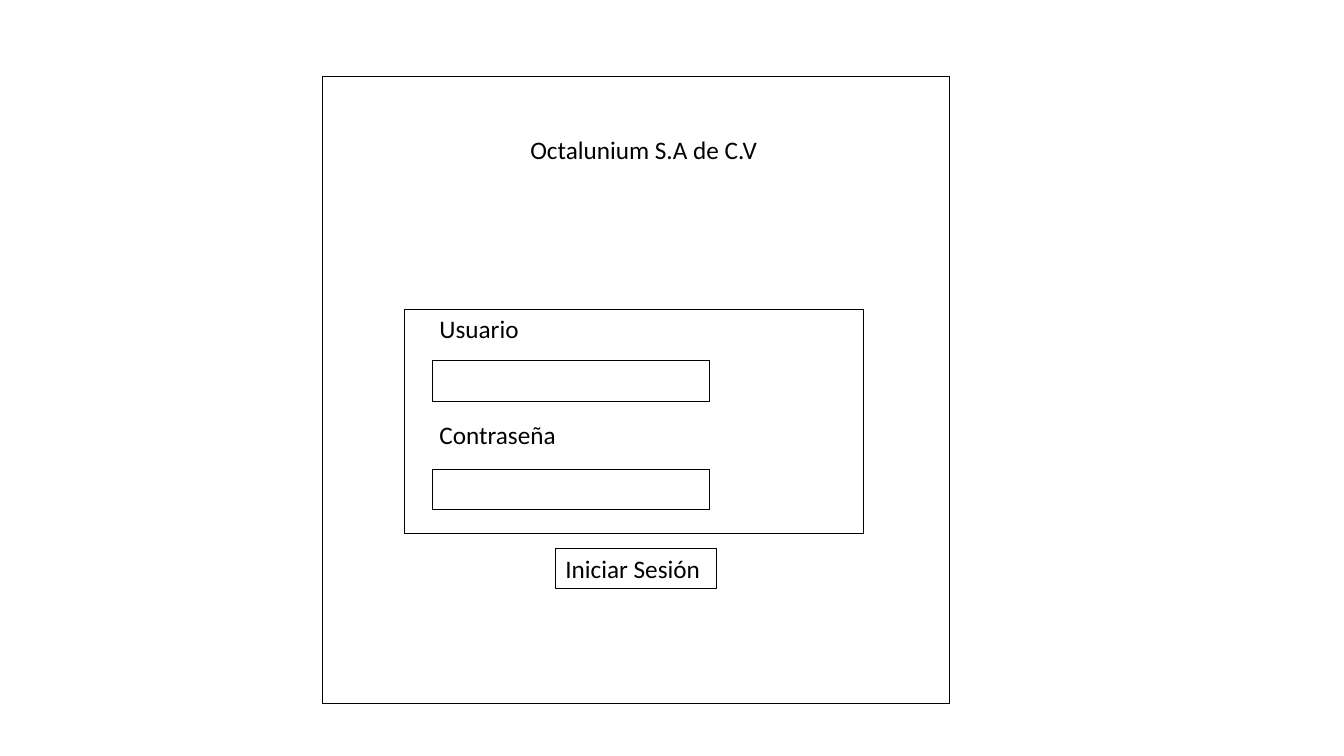
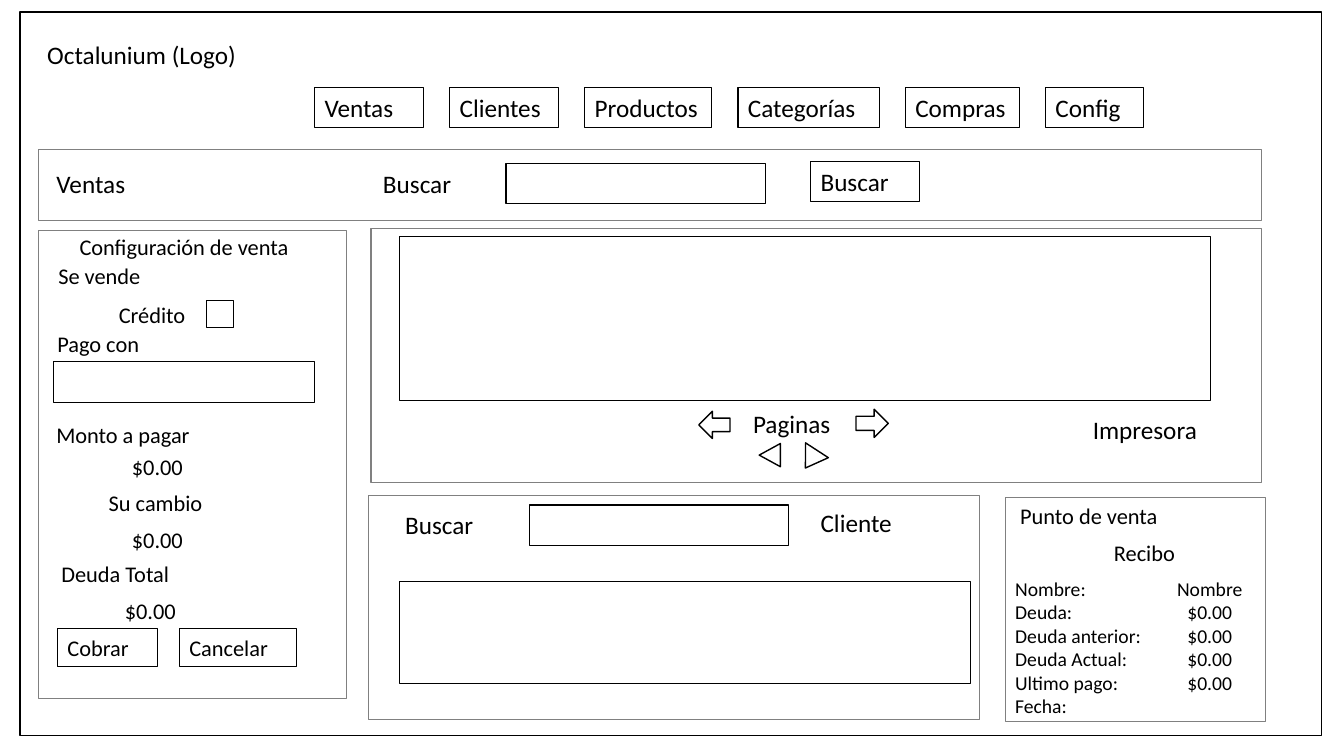
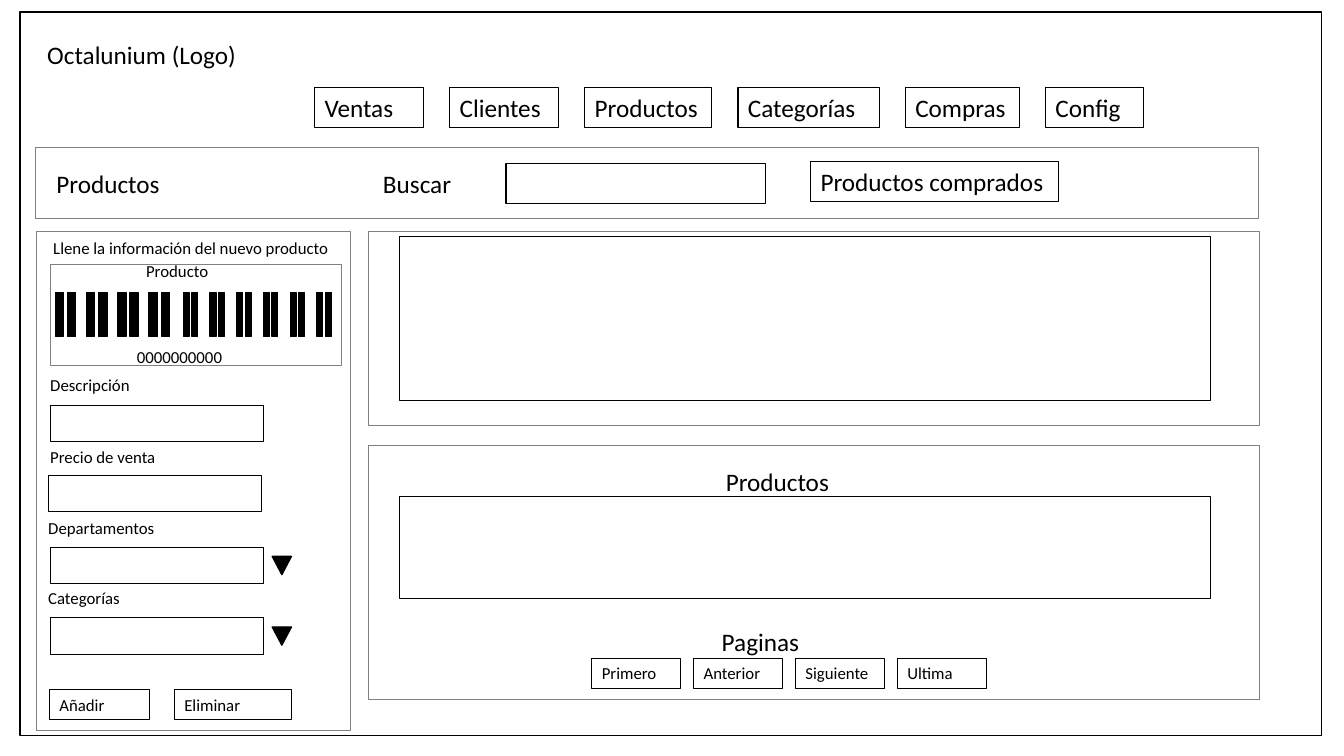
from dataclasses import dataclass
from typing import Any

from lxml import etree
from pptx import Presentation
from pptx import util as u
from pptx.dml.color import RGBColor
from pptx.enum import shapes, text
from pptx.oxml import ns

FONT = "Calibri"
BLACK, GREY, WHITE = "000000", "808080", "FFFFFF"
THIN, MEDIUM = 0.75, 1
LARGE, MIDDLE, RECEIPT, SMALL = 18, 16, 14, 12
ROW_HEIGHT = {LARGE: 4, MIDDLE: 3.7, SMALL: 3}
KIND = shapes.MSO_SHAPE
COMPANY = "Octalunium"
MENU = [("Ventas", 10.8), ("Clientes", 10.8), ("Productos", 12.6),
        ("Categorías", 14), ("Compras", 11.3), ("Config", 9.7)]
MENU_GAP = 2.6


def cells(count):
    """Length of a number of grid cells, ten to the inch."""
    return u.Inches(count / 10)


def color(hex_string):
    return RGBColor.from_string(hex_string)


def write(shape, content, size):
    """Fill a shape with black text from its top left corner."""
    frame = shape.text_frame
    frame.text = content
    frame.word_wrap = True
    frame.auto_size = text.MSO_AUTO_SIZE.SHAPE_TO_FIT_TEXT
    frame.vertical_anchor = text.MSO_ANCHOR.TOP
    frame.margin_left = frame.margin_right = u.Inches(0.1)
    frame.margin_top = frame.margin_bottom = u.Inches(0.05)
    for paragraph in frame.paragraphs:
        paragraph.alignment = text.PP_ALIGN.LEFT
        for run in paragraph.runs:
            run.font.size = u.Pt(size)
            run.font.name = FONT
            run.font.color.rgb = color(BLACK)


@dataclass
class Region:
    """A box on a slide; its parts are placed in cells from its corner."""
    slide: Any
    left: float = 0
    top: float = 0

    def place(self, x, y, w, h):
        return (cells(self.left + x), cells(self.top + y), cells(w), cells(h))

    def shape(self, x, y, w, h, kind=KIND.RECTANGLE, fill=None, line=BLACK,
              weight=THIN, turn=0):
        part = self.slide.shapes.add_shape(kind, *self.place(x, y, w, h))
        part.shadow.inherit = False
        if fill:
            part.fill.solid()
            part.fill.fore_color.rgb = color(fill)
        else:
            part.fill.background()
        part.line.color.rgb = color(line)
        part.line.width = u.Pt(weight)
        part.rotation = turn
        return part

    def panel(self, x, y, w, h, line=GREY):
        self.shape(x, y, w, h, line=line)
        return Region(self.slide, self.left + x, self.top + y)

    def label(self, content, x, y, w, size=LARGE, h=None):
        box = self.slide.shapes.add_textbox(
            *self.place(x, y, w, h or ROW_HEIGHT[size]))
        write(box, content, size)
        return box

    def button(self, content, x, y, w, size=LARGE):
        write(self.shape(x, y, w, ROW_HEIGHT[size]), content, size)

    def title(self, content, x, y, w):
        heading = self.slide.shapes.title
        heading.left, heading.top, heading.width, heading.height = self.place(
            x, y, w, ROW_HEIGHT[LARGE])
        write(heading, content, LARGE)


def new_window(deck, x, y, w, h):
    """Add a slide whose window frame lies behind everything else."""
    slide = deck.slides.add_slide(deck.slide_layouts[5])
    frame = Region(slide).shape(x, y, w, h, fill=WHITE, weight=MEDIUM)
    slide.shapes._spTree.insert(2, frame._element)
    return Region(slide, x, y)


# Shared parts of the two application windows
def app_window(deck, heading, heading_width, action, action_width):
    window = new_window(deck, 2, 1.2, 129.1, 71.8)
    window.label(f"{COMPANY} (Logo)", 1.7, 2.2, 25.8)
    x = 29.2
    for name, width in MENU:
        window.button(name, x, 7.5, width)
        x += width + MENU_GAP
    # Search band
    window.title(heading, 2.6, 15, heading_width)
    window.label("Buscar", 35, 15, 10.8)
    window.shape(48.2, 15, 25.7, 4, fill=WHITE, weight=MEDIUM)
    window.button(action, 78.4, 14.8, action_width)
    return window


# Login slide
def login(deck):
    window = new_window(deck, 32, 7.6, 62.2, 62.2)
    window.title(f"{COMPANY} S.A de C.V", 19.6, 5.2, 25.8)
    form = window.panel(8.1, 23.1, 45.6, 22.2, line=BLACK)
    for name, label_y, field_y in [("Usuario", -0.1, 5.1),
                                   ("Contraseña", 10.4, 15.9)]:
        form.label(name, 2.5, label_y, 14.1)
        form.shape(2.8, field_y, 27.5, 4)
    window.button("Iniciar Sesión", 23.1, 46.8, 16)


# Sales slide regions
def sale_settings(panel):
    for content, x, y, w in [
            ("Configuración de venta", 3.1, -0.3, 26.8),
            ("Se vende", 1, 2.6, 12.1), ("Crédito", 7, 6.5, 9.2),
            ("Pago con", 0.9, 9.4, 12.1),
            ("Monto a pagar", 0.8, 18.4, 18.5), ("$0.00", 8.3, 21.6, 7.9),
            ("Su cambio", 6, 25.1, 13.5), ("$0.00", 8.3, 28.8, 7.9),
            ("Deuda Total", 1.3, 32.2, 14.9), ("$0.00", 7.6, 35.9, 7.9)]:
        panel.label(content, x, y, w, MIDDLE)
    panel.shape(16.7, 6.9, 2.7, 2.7)
    panel.shape(1.5, 13, 25.9, 4)
    panel.button("Cobrar", 1.9, 39.5, 9.9, MIDDLE)
    panel.button("Cancelar", 14, 39.5, 11.6, MIDDLE)


def sale_items(panel):
    panel.shape(2.8, 0.8, 80.5, 16.2)
    panel.label("Paginas", 36.9, 17.3, 10.2)
    panel.label("Impresora", 70.6, 17.9, 12.6)
    for kind, x, y, w, h, turn in [
            (KIND.RIGHT_ARROW, 32.5, 18.1, 3.1, 2.7, 180),
            (KIND.RIGHT_ARROW, 48.1, 17.9, 3.2, 2.8, 0),
            (KIND.ISOSCELES_TRIANGLE, 38.4, 21.4, 2.3, 2.1, 270),
            (KIND.ISOSCELES_TRIANGLE, 42.3, 21.8, 2.7, 2.1, 213)]:
        panel.shape(x, y, w, h, kind, WHITE, weight=MEDIUM, turn=turn)


def client_search(panel):
    panel.label("Buscar", 2.6, 0.8, 10.8)
    panel.shape(15.9, 0.9, 25.7, 4, fill=WHITE, weight=MEDIUM)
    panel.label("Cliente", 43.8, 0.6, 10.8)
    panel.shape(3, 8.5, 56.7, 10.1)


def receipt(panel):
    panel.label("Punto de venta", 0.5, -0.1, 25.9, MIDDLE)
    panel.label("Recibo", 9.8, 3.6, 9.1, MIDDLE)
    lines = ["Nombre:\tNombre", "Deuda:\t$0.00", "Deuda anterior:\t$0.00",
             "Deuda Actual:\t$0.00", "Ultimo pago:\t$0.00", "Fecha:"]
    details = panel.label("\n".join(lines), 0, 7.3, 28.9, RECEIPT, 15.1)
    # Centre the values on one tab stop
    for paragraph in details.text_frame.paragraphs:
        properties = paragraph._p.get_or_add_pPr()
        stops = etree.SubElement(properties, ns.qn("a:tabLst"))
        etree.SubElement(stops, ns.qn("a:tab"), pos=str(cells(19.3)),
                         algn="ctr")


def sales(deck):
    window = app_window(deck, "Ventas", 10, "Buscar", 10.8)
    window.panel(1.8, 13.6, 121.3, 7.1)
    sale_settings(window.panel(1.8, 21.7, 30.6, 46.4))
    sale_items(window.panel(34.8, 21.5, 88.3, 25.2))
    client_search(window.panel(34.6, 48, 60.6, 22.2))
    receipt(window.panel(97.7, 48.2, 25.8, 22.2))


# Product slide regions
def barcode(panel):
    panel.label("Producto", 8.5, -0.8, 13.2, SMALL)
    panel.label("0000000000", 7.6, 7.7, 10.8, SMALL)
    length, middle = 5.9, 5
    for count, first, pitch, width in [(4, 1.5, 3.1, 3.4),
                                       (6, 13.9, 2.65, 2.4)]:
        for i in range(count):
            panel.shape(first + i * pitch - length / 2, middle - width / 2,
                        length, width, KIND.MATH_EQUAL, BLACK,
                        weight=MEDIUM, turn=270)


def product_form(panel):
    panel.label("Llene la información del nuevo producto", 0.7, 0.1, 29.4,
                SMALL)
    barcode(panel.panel(1.4, 3.2, 28.9, 10.1))
    for name, x, label_y, field_x, field_y, is_list in [
            ("Descripción", 0.4, 13.7, 1.4, 17.2, False),
            ("Precio de venta", 0.4, 20.8, 1.2, 24.2, False),
            ("Departamentos", 0.2, 27.9, 1.4, 31.3, True),
            ("Categorías", 0.2, 34.8, 1.4, 38.3, True)]:
        panel.label(name, x, label_y, 15.6, SMALL)
        panel.shape(field_x, field_y, 21.1, 3.6)
        if is_list:
            panel.shape(23.4, field_y + 0.9, 1.9, 1.8,
                        KIND.ISOSCELES_TRIANGLE, BLACK, weight=MEDIUM,
                        turn=180)
    panel.button("Añadir", 1.3, 45.4, 9.9, SMALL)
    panel.button("Eliminar", 13.7, 45.4, 11.6, SMALL)


def product_pages(panel):
    panel.label("Productos", 34.4, 1.6, 13.2)
    panel.shape(3, 5.1, 80.5, 10.1)
    panel.label("Paginas", 34, 17.4, 10.2)
    for i, name in enumerate(["Primero", "Anterior", "Siguiente", "Ultima"]):
        panel.button(name, 22.1 + i * 10.1, 21.1, 8.8, SMALL)


def products(deck):
    window = app_window(deck, "Productos", 13.5, "Productos comprados", 24.6)
    window.panel(1.5, 13.4, 121.3, 7.1)
    product_form(window.panel(1.6, 21.8, 31.2, 49.5))
    window.panel(34.6, 21.8, 88.3, 19.2).shape(3, 0.5, 80.5, 16.2)
    product_pages(window.panel(34.6, 43, 88.3, 25.2))


deck = Presentation()
deck.slide_width, deck.slide_height = u.Inches(13.33), u.Inches(7.5)
login(deck)
sales(deck)
products(deck)
deck.save("out.pptx")
